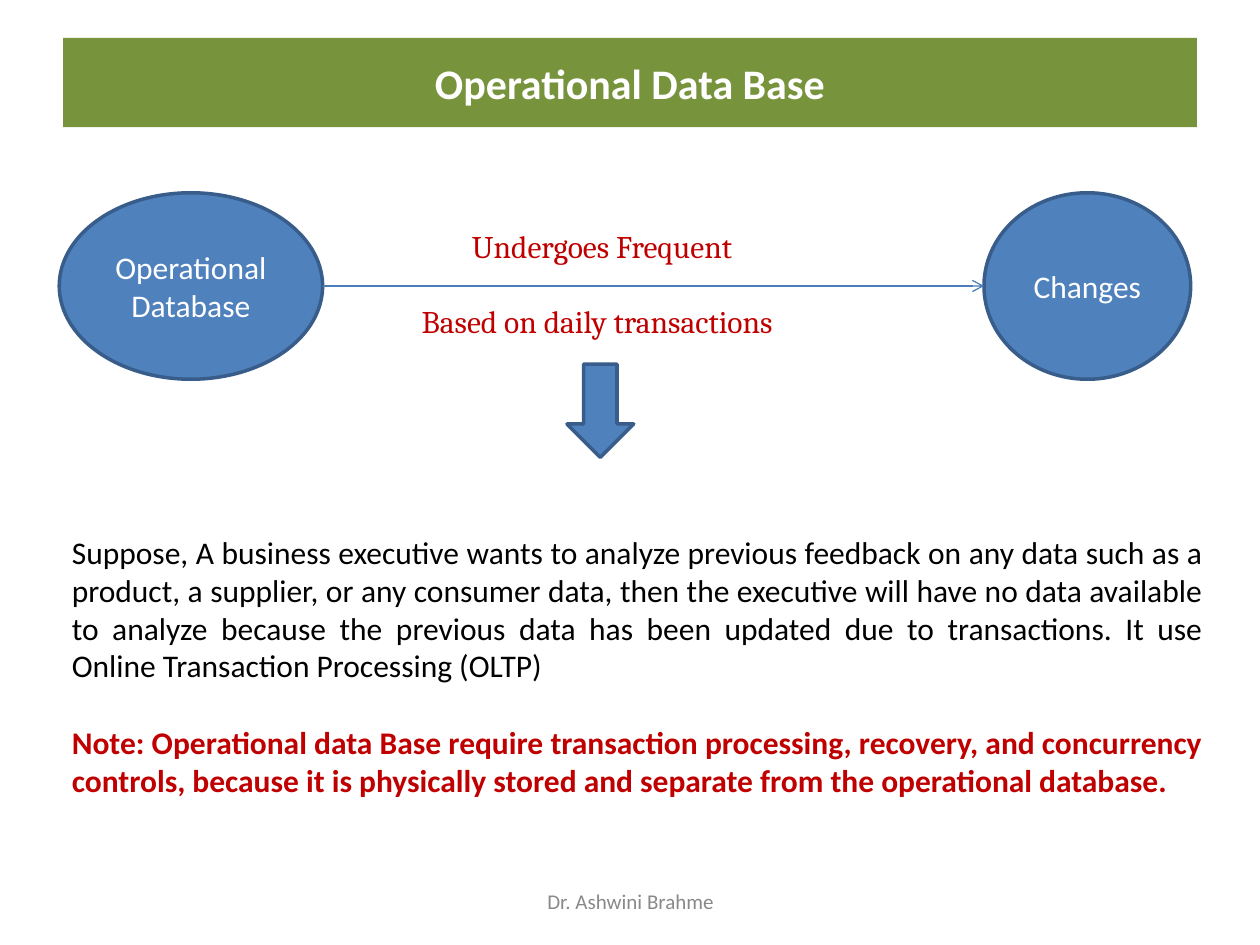
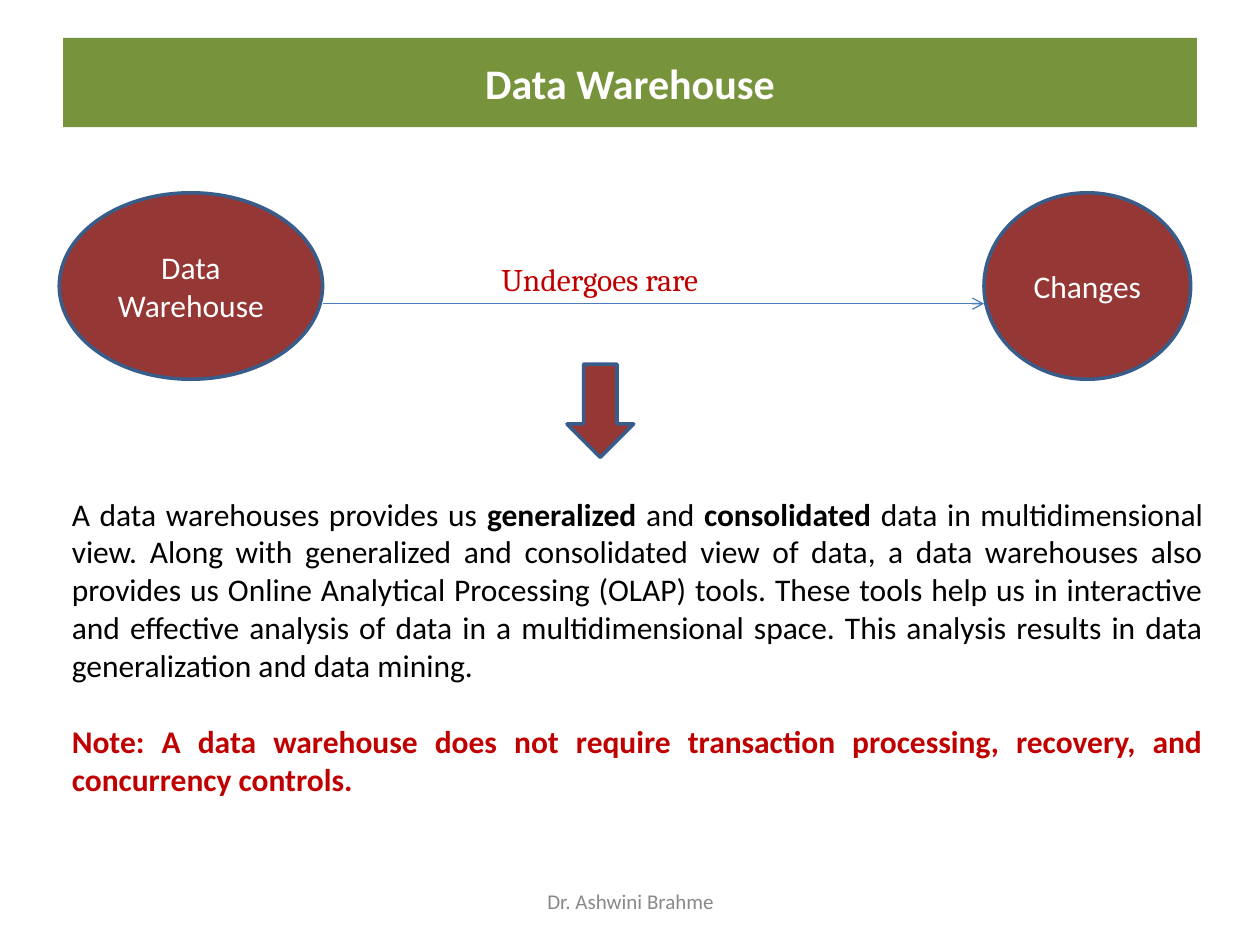
from pptx import Presentation
from pptx.dml.color import RGBColor as Rgb
from pptx.enum.shapes import MSO_CONNECTOR as Link, MSO_SHAPE as Kind
from pptx.enum.text import MSO_ANCHOR as Anchor, MSO_AUTO_SIZE as Fit, PP_ALIGN as Align
from pptx.oxml.ns import qn
from pptx.util import Pt
from lxml.etree import SubElement

WHITE = Rgb(0xFF, 0xFF, 0xFF)
BLACK = Rgb(0, 0, 0)
GREEN = Rgb(0x77, 0x93, 0x3C)
BLUE = Rgb(0x4F, 0x81, 0xBD)
MAROON = Rgb(0x95, 0x37, 0x35)
EDGE = Rgb(0x38, 0x5D, 0x8A)
WIRE = Rgb(0x4A, 0x7E, 0xBB)
RED = Rgb(0xC0, 0, 0)
GREY = Rgb(0x89, 0x89, 0x89)

TITLE = (36, 21.6, 648, 51.1)
FLOW = (33.84, 110.16, 646.56, 106.56)
FOOTER = (246.24, 500.4, 228.24, 28.8)
BODY_LEFT, BODY_WIDTH, BODY_END = 33.84, 660.96, 482
LINE = 22


def place(shape, box):
    shape.left, shape.top, shape.width, shape.height = map(Pt, box)


def style(para, size, color, name="Calibri", bold=False, align=Align.CENTER):
    para.alignment = align
    font = para.font
    font.size, font.name, font.bold = Pt(size), name, bold
    font.color.rgb = color


def write(shape, text, size, color, **look):
    frame = shape.text_frame
    frame.word_wrap = True
    frame.auto_size = Fit.NONE
    frame.vertical_anchor = Anchor.MIDDLE
    frame.text = text
    style(frame.paragraphs[0], size, color, **look)


def add_label(slide, box, text, size, color, **look):
    label = slide.shapes.add_textbox(*map(Pt, box))
    write(label, text, size, color, **look)


def add_form(slide, kind, box, fill, text=""):
    form = slide.shapes.add_shape(kind, *map(Pt, box))
    form.shadow.inherit = False
    form.fill.solid()
    form.fill.fore_color.rgb = fill
    form.line.color.rgb = EDGE
    form.line.width = Pt(2)
    if text:
        write(form, text, 18, WHITE)


def add_wire(slide, start, end, y):
    wire = slide.shapes.add_connector(Link.STRAIGHT, Pt(start), Pt(y), Pt(end), Pt(y))
    wire.line.color.rgb = WIRE
    wire.line.width = Pt(0.75)
    SubElement(wire.line._get_or_add_ln(), qn("a:tailEnd"), type="arrow")
    SubElement(wire._element.spPr, qn("a:effectLst"))


def add_title(slide, box, text):
    title = slide.shapes.title
    place(title, box)
    title.fill.solid()
    title.fill.fore_color.rgb = GREEN
    write(title, text, 24, WHITE, bold=True)


def add_flow(slide, box, source, fill, drop, labels):
    left, top, width, height = box
    wide, narrow = 150.48, 118.08
    target = left + width - narrow
    add_form(slide, Kind.OVAL, (left, top, wide, height), fill, source)
    add_form(slide, Kind.OVAL, (target, top, narrow, height), fill, "Changes")
    add_wire(slide, left + wide, target, top + drop)
    for text, dx, dy in labels:
        add_label(slide, (left + dx, top + dy, 360, 28), text, 18, RED, name="Cambria")
    add_form(slide, Kind.DOWN_ARROW, (left + 290.16, top + 97.92, 38.16, 53.28), fill)


def add_body(slide, box, parts, note):
    body = slide.placeholders[1]
    place(body, box)
    frame = body.text_frame
    frame.auto_size = Fit.NONE
    frame.vertical_anchor = Anchor.TOP
    first, last = frame.paragraphs[0], frame.add_paragraph()
    for para, gap, color, bold in ((first, 0, BLACK, False), (last, LINE, RED, True)):
        props = para._p.get_or_add_pPr()
        props.set("marL", "0")
        props.set("indent", "0")
        SubElement(props, qn("a:buNone"))
        para.space_before = Pt(gap)
        style(para, 18, color, bold=bold, align=Align.JUSTIFY)
    for text, bold in parts:
        run = first.add_run()
        run.text = text
        if bold:
            run.font.bold = True
    last.add_run().text = note


def add_page(deck, title, source, fill, drop, labels, top, parts, note):
    slide = deck.slides.add_slide(deck.slide_layouts[1])
    add_title(slide, TITLE, title)
    add_flow(slide, FLOW, source, fill, drop, labels)
    add_body(slide, (BODY_LEFT, top, BODY_WIDTH, BODY_END - top), parts, note)
    add_label(slide, FOOTER, "Dr. Ashwini Brahme", 12, GREY)


def main():
    deck = Presentation()
    deck.slide_width, deck.slide_height = Pt(720), Pt(540)
    add_page(
        deck, "Operational Data Base", "Operational Database", BLUE, 53.28,
        [("Undergoes Frequent", 130.2, 16.56), ("Based on daily transactions", 127.44, 59.04)],
        301,
        [("Suppose, A business executive wants to analyze previous feedback on any data "
          "such as a product, a supplier, or any consumer data, then the executive will "
          "have no data available to analyze because the previous data has been updated "
          "due to transactions. It use Online Transaction Processing (OLTP)", False)],
        "Note: Operational data Base require transaction processing, recovery, and "
        "concurrency controls, because it is physically stored and separate from the "
        "operational database.",
    )
    add_page(
        deck, "Data Warehouse", "Data Warehouse", MAROON, 63.36,
        [("Undergoes rare", 128.88, 35.28)],
        301 - LINE,
        [("A data warehouses provides us ", False), ("generalized ", True),
         ("and ", False), ("consolidated ", True),
         ("data in multidimensional view. Along with generalized and consolidated view "
          "of data, a data warehouses also provides us Online Analytical Processing "
          "(OLAP) tools. These tools help us in interactive and effective analysis of "
          "data in a multidimensional space. This analysis results in data "
          "generalization and data mining.", False)],
        "Note: A data warehouse does not require transaction processing, recovery, and "
        "concurrency controls.",
    )
    deck.save("out.pptx")


if __name__ == "__main__":
    main()
